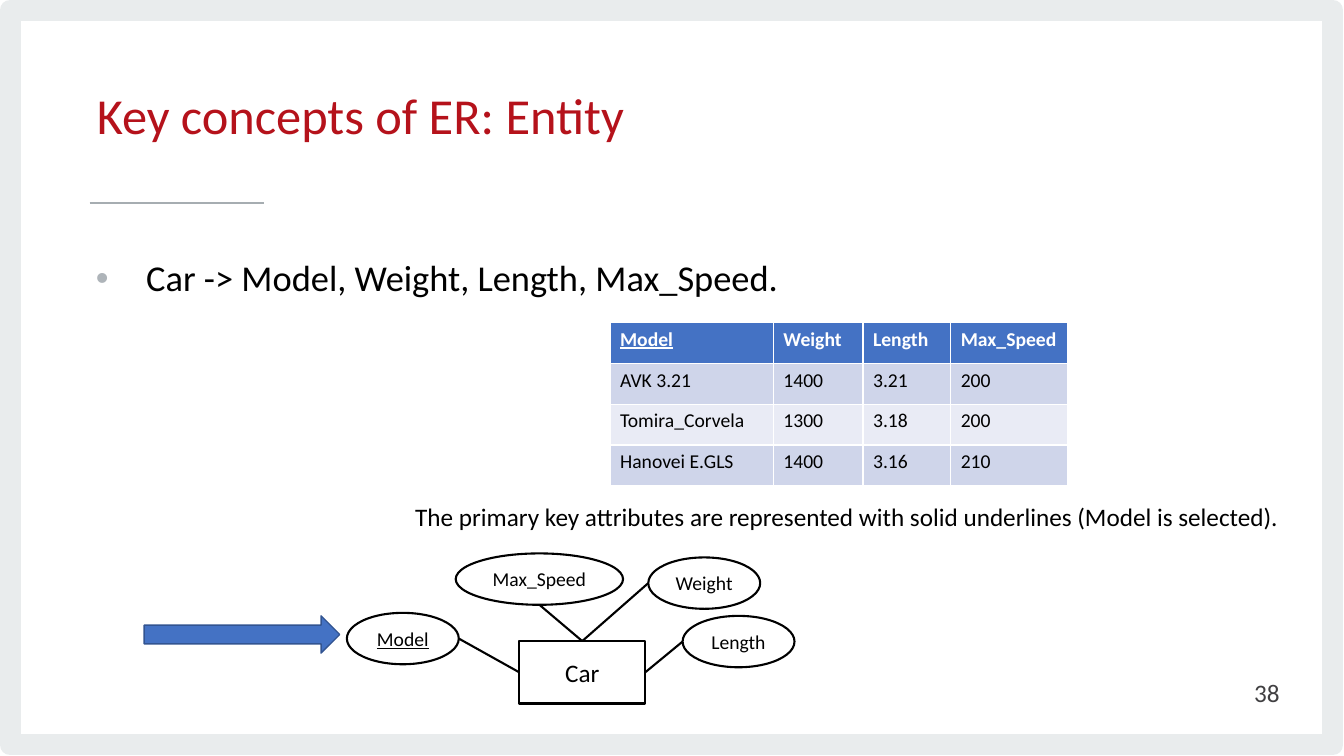
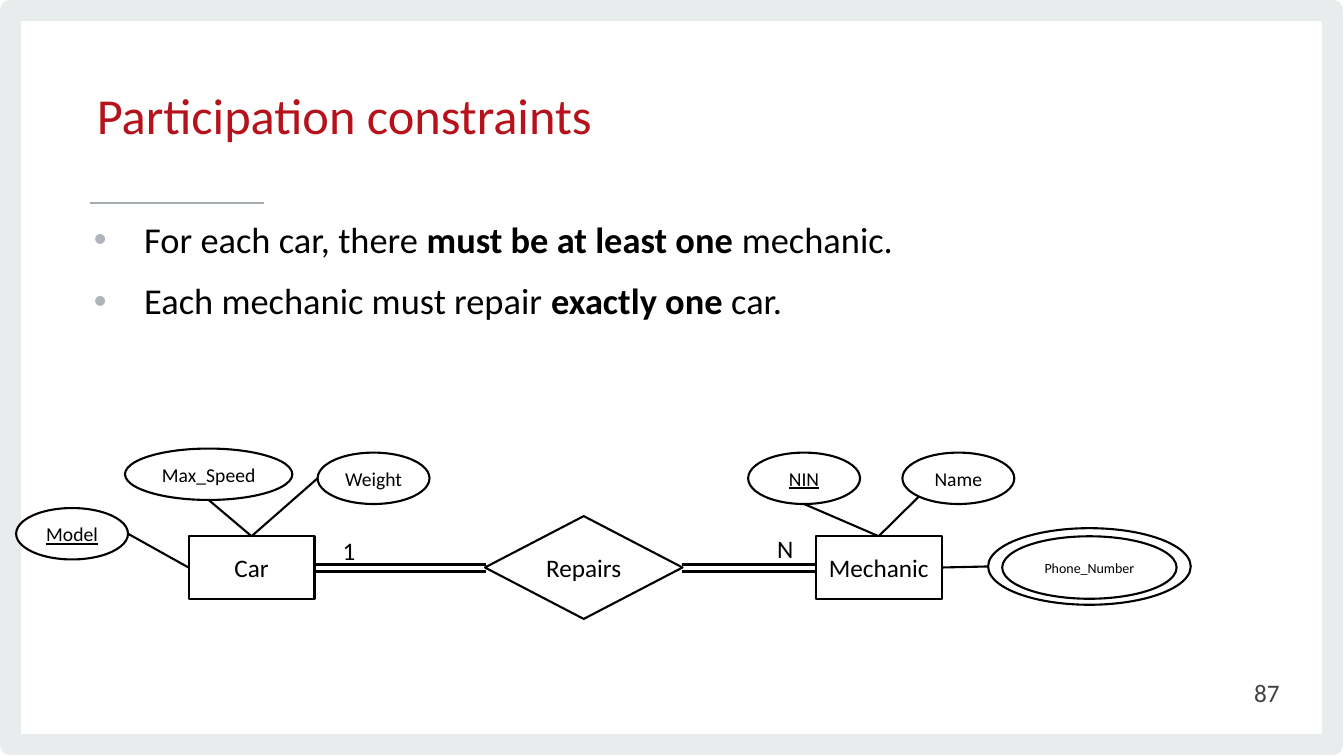
from lxml.etree import SubElement
from pptx import Presentation
from pptx.dml.color import RGBColor
from pptx.enum.shapes import MSO_CONNECTOR, MSO_SHAPE
from pptx.enum.text import MSO_ANCHOR, MSO_AUTO_SIZE, PP_ALIGN
from pptx.oxml.ns import qn
from pptx.util import Inches, Pt

COLORS = {
    "ink": "000000", "paper": "FFFFFF", "title": "B5121B", "number": "414042",
    "frame": "E9ECED", "rule": "A6ADB1", "bullet": "AEB4B9",
    "blue": "4472C4", "blue_edge": "325491", "band": "CFD5EA", "band_light": "E9EBF5",
}
FONT = "Calibri"
ATTRIBUTE = (1.11, 0.51)
WIDE_ATTRIBUTE = (1.66, 0.51)
ENTITY = (1.25, 0.62)
# Where lines meet a shape, as fractions of its width and height
ANCHORS = {"top": (0.5, 0), "bottom": (0.5, 1), "left": (0, 0.5), "right": (1, 0.5),
           "lower left": (0.15, 0.85)}


def rgb(name):
    return RGBColor.from_string(COLORS[name])


def write(paragraph, text, size=18, color="ink", bold=False, underline=False,
          align=PP_ALIGN.LEFT):
    """Append one formatted run to a paragraph."""
    paragraph.alignment = align
    run = paragraph.add_run()
    run.text = text
    font = run.font
    font.name, font.size, font.bold, font.underline = FONT, Pt(size), bold, underline
    font.color.rgb = rgb(color)


def add_line(shapes, start, end, color="ink", width=1.5):
    line = shapes.add_connector(MSO_CONNECTOR.STRAIGHT,
                                *(Inches(value) for value in (*start, *end)))
    line.line.color.rgb = rgb(color)
    line.line.width = Pt(width)
    SubElement(line.element.spPr, qn("a:effectLst"))
    return line


def add_outline(shapes, kind, box, fill=None, line="ink", width=1.5):
    shape = shapes.add_shape(kind, *(Inches(value) for value in box))
    shape.shadow.inherit = False
    if fill:
        shape.fill.solid()
        shape.fill.fore_color.rgb = rgb(fill)
    else:
        shape.fill.background()
    shape.line.color.rgb = rgb(line)
    shape.line.width = Pt(width)
    return shape


def add_node(shapes, kind, text, box, size=18, underline=False, fill="paper"):
    """A labelled part of an ER diagram."""
    node = add_outline(shapes, kind, box, fill=fill)
    frame = node.text_frame
    frame.word_wrap = False
    frame.vertical_anchor = MSO_ANCHOR.MIDDLE
    write(frame.paragraphs[0], text, size=size, underline=underline, align=PP_ALIGN.CENTER)
    return node


def add_label(slide, text, box, **style):
    label = slide.shapes.add_textbox(*(Inches(value) for value in box))
    label.text_frame.word_wrap = True
    write(label.text_frame.paragraphs[0], text, **style)


def point(shape, side):
    across, down = ANCHORS[side]
    return ((shape.left + shape.width * across) / Inches(1),
            (shape.top + shape.height * down) / Inches(1))


def link(slide, start, start_side, end, end_side):
    add_line(slide.shapes, point(start, start_side), point(end, end_side))


def add_entity(slide, name, left, top, attributes):
    """An entity with attributes: text, offset, size, key, own side, entity side."""
    entity = add_node(slide.shapes, MSO_SHAPE.RECTANGLE, name, (left, top, *ENTITY))
    for text, dx, dy, size, is_key, side, entity_side in attributes:
        oval = add_node(slide.shapes, MSO_SHAPE.OVAL, text, (left + dx, top + dy, *size),
                        size=14, underline=is_key)
        link(slide, oval, side, entity, entity_side)
    return entity


CAR_ATTRIBUTES = [
    ("Model", -1.71, -0.28, ATTRIBUTE, True, "right", "left"),
    ("Weight", 1.28, -0.83, ATTRIBUTE, False, "left", "top"),
    ("Max_Speed", -0.63, -0.87, WIDE_ATTRIBUTE, False, "bottom", "top"),
]
LENGTH_ATTRIBUTE = ("Length", 1.62, -0.25, ATTRIBUTE, False, "left", "right")
MECHANIC_ATTRIBUTES = [
    ("NIN", -0.67, -0.83, ATTRIBUTE, True, "bottom", "top"),
    ("Name", 0.86, -0.83, ATTRIBUTE, False, "lower left", "top"),
]


def decorate_layout(layout, slide):
    """Place the frame and the title rule on the layout, behind its placeholders."""
    frame = add_outline(slide.shapes, MSO_SHAPE.RECTANGLE, (0.1, 0.1, 13.12, 7.29),
                        line="frame", width=15.11)
    rule = add_line(slide.shapes, (0.89, 2.01), (2.62, 2.01), color="rule", width=1.33)
    for position, part in enumerate((frame, rule), start=2):
        layout.shapes.element.insert(position, part.element)


def add_bullets(body, box, bullets):
    """Fill the body with paragraphs, each a list of (text, bold) pieces."""
    body.left, body.top, body.width, body.height = (Inches(value) for value in box)
    frame = body.text_frame
    frame.auto_size = MSO_AUTO_SIZE.NONE
    for index, pieces in enumerate(bullets):
        paragraph = frame.add_paragraph() if index else frame.paragraphs[0]
        paragraph.line_spacing = 0.9
        paragraph.space_before = Pt(10 if index else 0)
        paragraph.space_after = Pt(6)
        properties = paragraph._p.get_or_add_pPr()
        properties.set("marL", str(Inches(0.5)))
        properties.set("indent", str(-Inches(0.5)))
        SubElement(SubElement(properties, qn("a:buClr")), qn("a:srgbClr"),
                   val=COLORS["bullet"])
        SubElement(properties, qn("a:buFont"), typeface="Arial")
        SubElement(properties, qn("a:buChar"), char="•")
        for text, bold in pieces:
            write(paragraph, text, size=26, bold=bold)


def add_content_slide(deck, layout, title, number, body_box, bullets):
    slide = deck.slides.add_slide(layout)
    heading = slide.shapes.title
    heading.left, heading.top, heading.width, heading.height = (
        Inches(value) for value in (0.86, 0.52, 8.79, 1.34))
    heading.text_frame.auto_size = MSO_AUTO_SIZE.NONE
    heading.text_frame.vertical_anchor = MSO_ANCHOR.MIDDLE
    paragraph = heading.text_frame.paragraphs[0]
    paragraph.line_spacing = Pt(34.7)
    write(paragraph, title, size=36, color="title")
    add_bullets(slide.placeholders[1], body_box, bullets)
    add_label(slide, number, (9.79, 6.67, 3, 0.4), color="number", align=PP_ALIGN.RIGHT)
    return slide


def add_car_table(slide):
    rows = [
        ("Model", "Weight", "Length", "Max_Speed"),
        ("AVK 3.21", "1400", "3.21", "200"),
        ("Tomira_Corvela", "1300", "3.18", "200"),
        ("Hanovei E.GLS", "1400", "3.16", "210"),
    ]
    widths = (1.62, 0.89, 0.87, 1.16)
    table = slide.shapes.add_table(len(rows), len(widths), Inches(6.05), Inches(3.2),
                                   Inches(sum(widths)), Inches(1.62)).table
    for column, width in zip(table.columns, widths):
        column.width = Inches(width)
    for r, values in enumerate(rows):
        header = r == 0
        fill = "blue" if header else "band" if r % 2 else "band_light"
        for c, value in enumerate(values):
            cell = table.cell(r, c)
            cell.fill.solid()
            cell.fill.fore_color.rgb = rgb(fill)
            write(cell.text_frame.paragraphs[0], value, size=14, bold=header,
                  color="paper" if header else "ink", underline=header and c == 0)


def fill_entity_slide(slide):
    add_car_table(slide)
    add_label(slide, "The primary key attributes are represented with solid underlines "
              "(Model is selected).", (4.02, 4.92, 9.06, 0.4))
    add_entity(slide, "Car", 5.15, 6.36, [*CAR_ATTRIBUTES, LENGTH_ATTRIBUTE])
    # Arrow pointing at the key attribute
    add_outline(slide.shapes, MSO_SHAPE.RIGHT_ARROW, (1.43, 6.11, 1.94, 0.37),
                fill="blue", line="blue_edge", width=1)


def fill_participation_slide(slide):
    add_entity(slide, "Car", 1.87, 5.32, CAR_ATTRIBUTES)
    mechanic = add_entity(slide, "Mechanic", 8.09, 5.32, MECHANIC_ATTRIBUTES)
    # Multivalued attribute
    phone = slide.shapes.add_group_shape()
    ring = add_outline(phone.shapes, MSO_SHAPE.OVAL, (9.8, 5.24, 2.01, 0.76))
    add_node(phone.shapes, MSO_SHAPE.OVAL, "Phone_Number", (9.94, 5.32, 1.73, 0.62),
             size=10, fill=None)
    link(slide, ring, "left", mechanic, "right")
    # Relationship with total participation on both sides
    add_node(slide.shapes, MSO_SHAPE.FLOWCHART_DECISION, "Repairs",
             (4.81, 5.12, 1.96, 1.02), fill=None)
    for start, end in ((3.12, 4.82), (6.76, 8.09)):
        for y in (5.6, 5.67):
            add_line(slide.shapes, (start, y), (end, y))
    add_label(slide, "1", (3.3, 5.26, 0.76, 0.4))
    add_label(slide, "N", (7.61, 5.24, 0.76, 0.4))


def main():
    deck = Presentation()
    deck.slide_width, deck.slide_height = Inches(13.33), Inches(7.5)
    layout = deck.slide_layouts[1]

    entity_slide = add_content_slide(
        deck, layout, "Key concepts of ER: Entity", "38", (0.85, 2.53, 10.65, 1.78),
        [[("Car -> Model, Weight, Length, Max_Speed.", False)]])
    decorate_layout(layout, entity_slide)
    fill_entity_slide(entity_slide)

    participation_slide = add_content_slide(
        deck, layout, "Participation constraints", "87", (0.83, 2.15, 10.65, 4.22),
        [[("For each car, there ", False), ("must be at least one", True),
          (" mechanic.", False)],
         [("Each mechanic must repair ", False), ("exactly one", True), (" car.", False)]])
    fill_participation_slide(participation_slide)

    deck.save("out.pptx")


if __name__ == "__main__":
    main()
